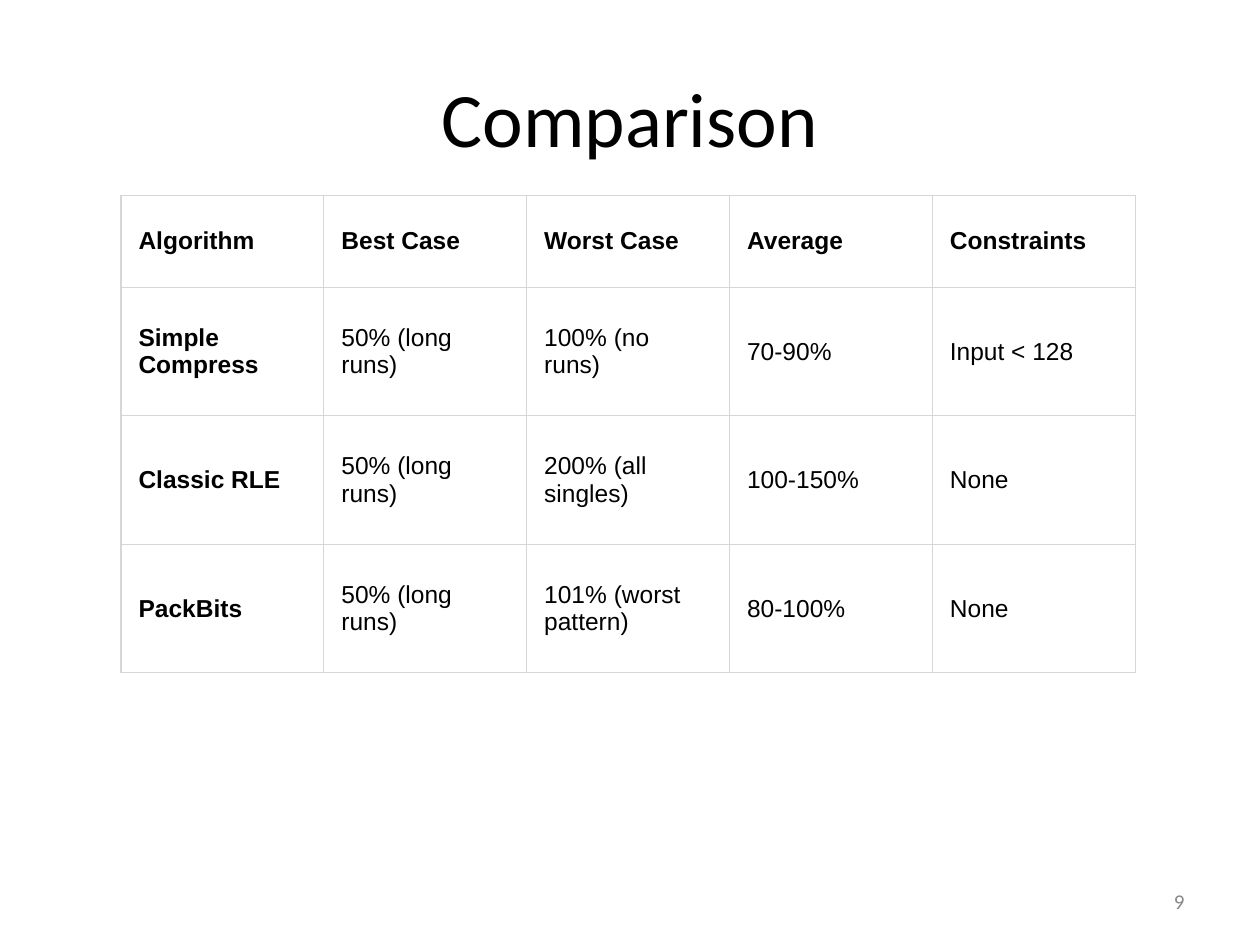
from lxml import etree
from pptx import Presentation
from pptx.dml.color import RGBColor
from pptx.enum.text import MSO_ANCHOR as Anchor, PP_ALIGN as Align
from pptx.oxml.ns import qn
from pptx.util import Inches, Pt

# Content
TITLE = "Comparison"
PAGE = "9"
ROWS = [
    ("Algorithm", "Best Case", "Worst Case", "Average", "Constraints"),
    ("Simple Compress", "50% (long runs)", "100% (no runs)", "70-90%", "Input < 128"),
    ("Classic RLE", "50% (long runs)", "200% (all singles)", "100-150%", "None"),
    ("PackBits", "50% (long runs)", "101% (worst pattern)", "80-100%", "None"),
]
COL_W, HEAD_H, ROW_H = 1.61, 0.73, 1.02
BLACK, WHITE, GRAY, RULE = "000000", "FFFFFF", "888888", "D6D6D6"


def style(para, size, name, color, align, bold=False):
    para.alignment = align
    font = para.font
    font.size, font.name, font.bold = Pt(size), name, bold
    font.color.rgb = RGBColor.from_string(color)


def place(shape, left, top, width, height):
    shape.left, shape.top = Inches(left), Inches(top)
    shape.width, shape.height = Inches(width), Inches(height)


def border(cell, color, width):
    props = cell._tc.get_or_add_tcPr()
    for i, side in enumerate(("lnL", "lnR", "lnT", "lnB")):
        line = etree.Element(qn(f"a:{side}"), w=str(Pt(width)))
        fill = etree.SubElement(line, qn("a:solidFill"))
        etree.SubElement(fill, qn("a:srgbClr"), val=color)
        props.insert(i, line)


prs = Presentation()
prs.slide_width, prs.slide_height = Inches(10), Inches(7.5)
slide = prs.slides.add_slide(prs.slide_layouts[5])

# Title
title = slide.shapes.title
place(title, 0.5, 0.3, 9, 1.25)
title.text_frame.text = TITLE
title.text_frame.vertical_anchor = Anchor.MIDDLE
style(title.text_frame.paragraphs[0], 44, "Calibri", BLACK, Align.CENTER)

# Page number
page = slide.shapes.add_textbox(0, 0, 0, 0)
place(page, 7.17, 6.95, 2.33, 0.4)
frame = page.text_frame
frame.text = PAGE
frame.word_wrap = True
frame.vertical_anchor = Anchor.MIDDLE
style(frame.paragraphs[0], 12, "Calibri", GRAY, Align.RIGHT)

# Comparison table
count = len(ROWS[0])
heights = [HEAD_H] + [ROW_H] * (len(ROWS) - 1)
table = slide.shapes.add_table(
    len(ROWS), count, Inches(0.96), Inches(1.55),
    Inches(COL_W * count), Inches(sum(heights))).table
table.horz_banding = False
for col in table.columns:
    col.width = Inches(COL_W)
for r, (texts, height) in enumerate(zip(ROWS, heights)):
    table.rows[r].height = Inches(height)
    for c, text in enumerate(texts):
        cell = table.cell(r, c)
        cell.text = text
        cell.vertical_anchor = Anchor.MIDDLE
        cell.margin_left = cell.margin_right = Inches(0.14)
        cell.margin_top = cell.margin_bottom = Inches(0.06)
        cell.fill.solid()
        cell.fill.fore_color.rgb = RGBColor.from_string(WHITE)
        border(cell, RULE, 0.75)
        style(cell.text_frame.paragraphs[0], 14, "Arial", BLACK, Align.LEFT,
              bold=r == 0 or c == 0)

prs.save("out.pptx")
